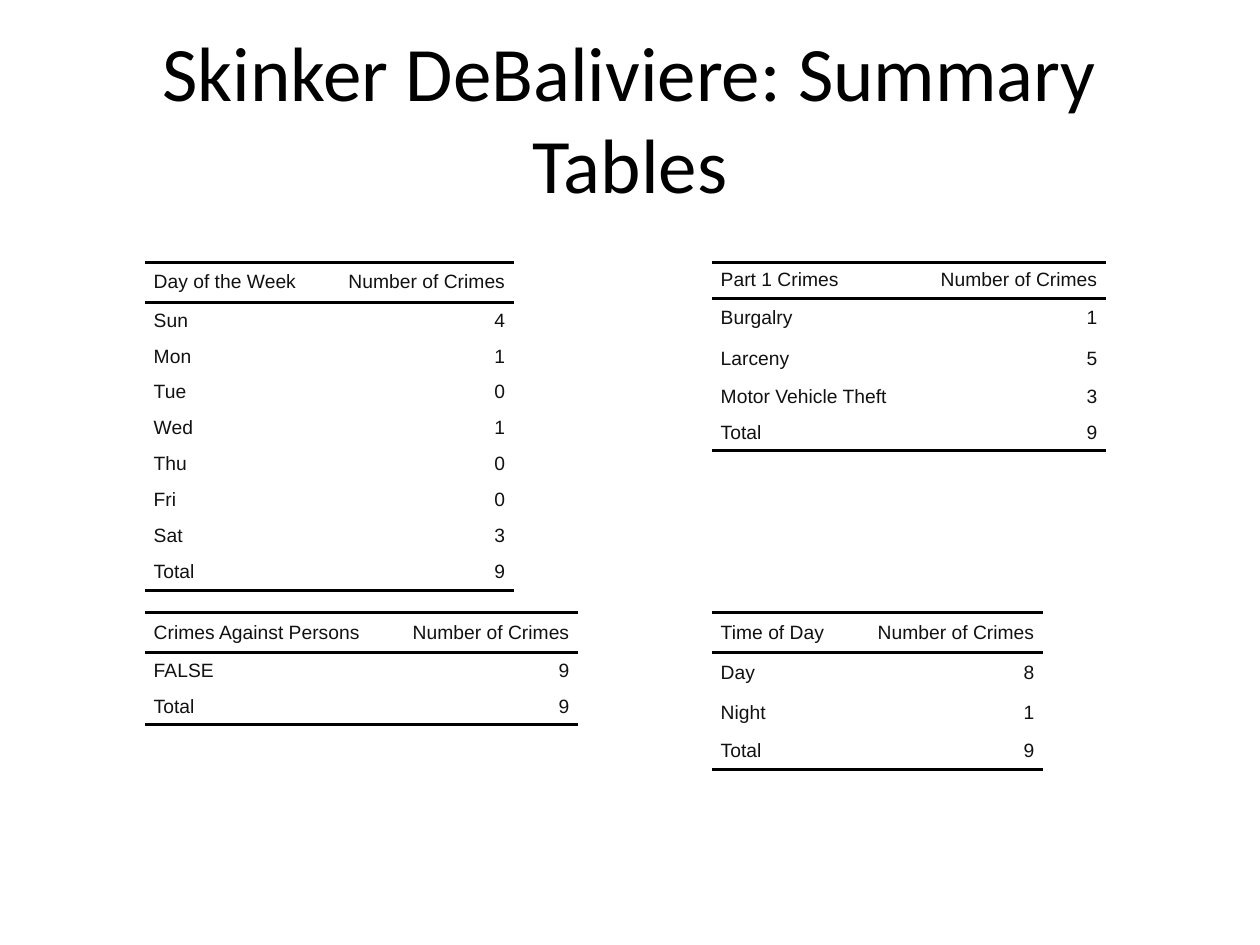
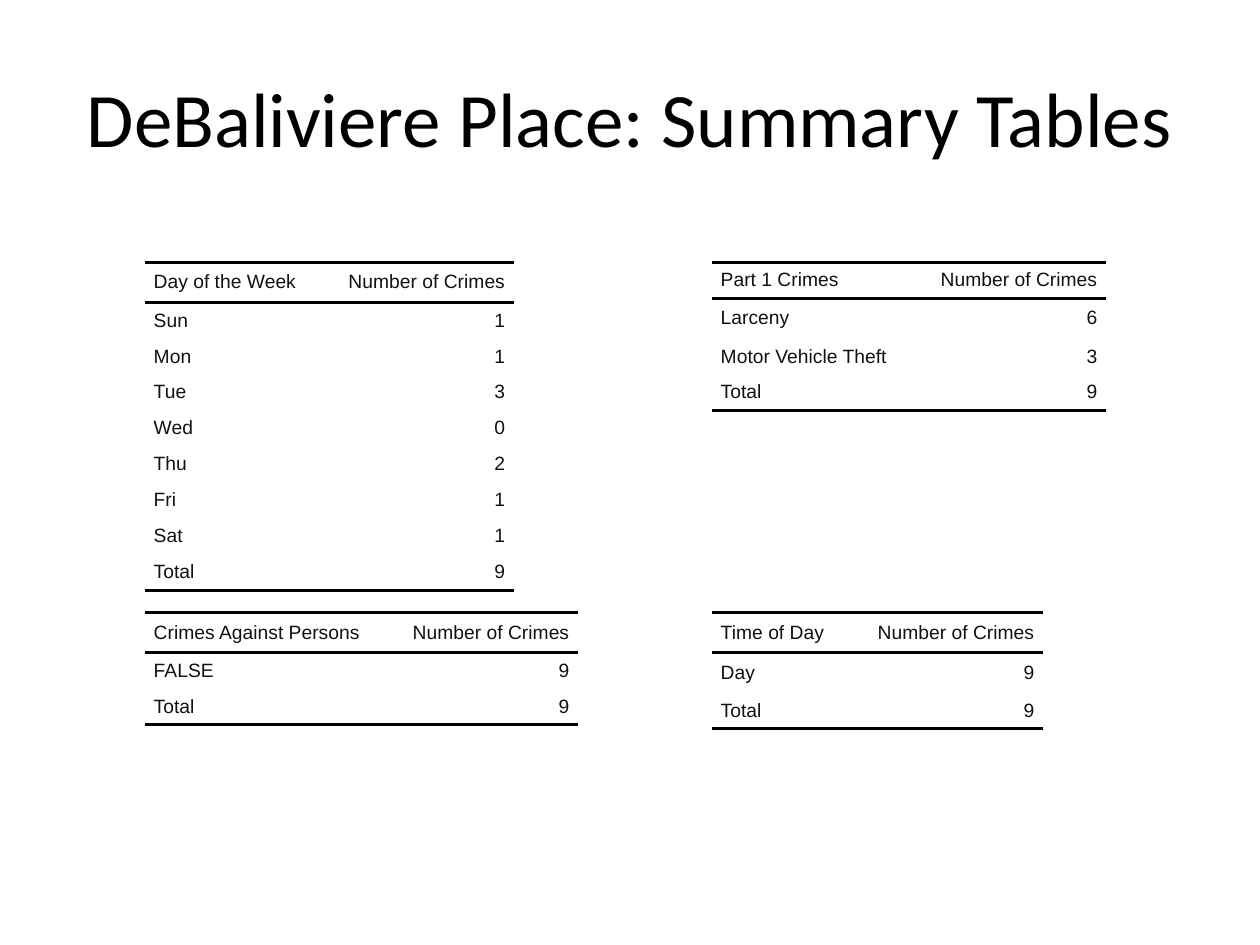
from lxml import etree
from pptx import Presentation
from pptx.dml.color import RGBColor
from pptx.enum.text import MSO_ANCHOR, PP_ALIGN
from pptx.oxml.ns import qn
from pptx.util import Inches, Pt

MIDDLE = MSO_ANCHOR.MIDDLE
LEFT, CENTER, RIGHT = PP_ALIGN.LEFT, PP_ALIGN.CENTER, PP_ALIGN.RIGHT

# Shared look
BLACK = RGBColor(0x00, 0x00, 0x00)
TEXT = RGBColor(0x11, 0x11, 0x11)
TITLE_FONT = {"name": "Calibri", "size": Pt(44)}
CELL_FONT = {"name": "Arial", "size": Pt(11)}
CELL_FORMAT = {"margin_left": 0, "margin_right": 0, "margin_top": 0,
               "margin_bottom": 0, "vertical_anchor": MIDDLE}
PLAIN_TABLE_STYLE = "{2D5ABB26-0587-4C30-8999-92F81FD0307C}"
RULE_WIDTH = Pt(2)
PADDING = Inches(0.07)

# Table grid: heading, left, top, label column width
LEFT_X, RIGHT_X, UPPER_Y, LOWER_Y = 1.15, 5.65, 2.08, 4.86
TABLES = [
    ("Part 1 Crimes", RIGHT_X, UPPER_Y, 1.61),
    ("Day of the Week", LEFT_X, UPPER_Y, 1.41),
    ("Crimes Against Persons", LEFT_X, LOWER_Y, 1.92),
    ("Time of Day", RIGHT_X, LOWER_Y, 1.11),
]
COUNT_WIDTH = Inches(1.52)
SHORT_ROW, TALL_ROW = Inches(2 / 7), Inches(0.32)
TALL_LABELS = {"Day of the Week", "Crimes Against Persons", "Time of Day",
               "Burgalry", "Larceny", "Day", "Night"}
DAYS = ["Sun", "Mon", "Tue", "Wed", "Thu", "Fri", "Sat"]

# Crime counts for each neighbourhood
NEIGHBOURHOODS = {
    "Skinker DeBaliviere": {
        "Part 1 Crimes": {"Burgalry": 1, "Larceny": 5, "Motor Vehicle Theft": 3},
        "Day of the Week": dict(zip(DAYS, [4, 1, 0, 1, 0, 0, 3])),
        "Crimes Against Persons": {"FALSE": 9},
        "Time of Day": {"Day": 8, "Night": 1},
    },
    "DeBaliviere Place": {
        "Part 1 Crimes": {"Larceny": 6, "Motor Vehicle Theft": 3},
        "Day of the Week": dict(zip(DAYS, [1, 1, 3, 0, 2, 1, 1])),
        "Crimes Against Persons": {"FALSE": 9},
        "Time of Day": {"Day": 9},
    },
}


def apply_format(target, values):
    for name, value in values.items():
        setattr(target, name, value)


def add_rule(cell, edge):
    line = etree.SubElement(cell._tc.get_or_add_tcPr(), qn(edge), w=str(RULE_WIDTH))
    fill = etree.SubElement(line, qn("a:solidFill"))
    etree.SubElement(fill, qn("a:srgbClr"), val=str(BLACK))


deck = Presentation()
deck.slide_width, deck.slide_height = Inches(10), Inches(7.5)

for neighbourhood, counts in NEIGHBOURHOODS.items():
    page = deck.slides.add_slide(deck.slide_layouts[6])

    # Title
    box = page.shapes.add_textbox(Inches(0.5), Inches(0.3), Inches(9), Inches(1.25))
    apply_format(box.text_frame, {"word_wrap": True, "vertical_anchor": MIDDLE})
    para = box.text_frame.paragraphs[0]
    para.alignment = CENTER
    span = para.add_run()
    span.text = f"{neighbourhood}: Summary Tables"
    apply_format(span.font, TITLE_FONT)
    span.font.color.rgb = BLACK

    # Summary tables
    for heading, left, top, label_width in TABLES:
        groups = counts[heading]
        rows = [(heading, "Number of Crimes"), *groups.items(),
                ("Total", sum(groups.values()))]
        frame = page.shapes.add_table(len(rows), 2, Inches(left), Inches(top),
                                      Inches(4), Inches(3))
        table = frame.table
        apply_format(table, {"first_row": False, "horz_banding": False})
        table._tbl.tblPr.find(qn("a:tableStyleId")).text = PLAIN_TABLE_STYLE
        table.columns[0].width = Inches(label_width)
        table.columns[1].width = COUNT_WIDTH

        for row_number, row in enumerate(rows):
            table.rows[row_number].height = TALL_ROW if row[0] in TALL_LABELS else SHORT_ROW
            for column, (value, alignment) in enumerate(zip(row, (LEFT, RIGHT))):
                cell = table.cell(row_number, column)
                apply_format(cell, CELL_FORMAT)
                if row_number == 0:
                    add_rule(cell, "a:lnT")
                if row_number in (0, len(rows) - 1):
                    add_rule(cell, "a:lnB")
                cell.fill.background()

                para = cell.text_frame.paragraphs[0]
                apply_format(para, {"alignment": alignment, "space_before": Pt(2),
                                    "space_after": Pt(2)})
                for side in ("marL", "marR"):
                    para._p.get_or_add_pPr().set(side, str(PADDING))
                span = para.add_run()
                span.text = str(value)
                apply_format(span.font, CELL_FONT)
                span.font.color.rgb = TEXT

        # The frame keeps one common size for every table
        apply_format(frame, {"width": Inches(4), "height": Inches(3)})

deck.save("out.pptx")
